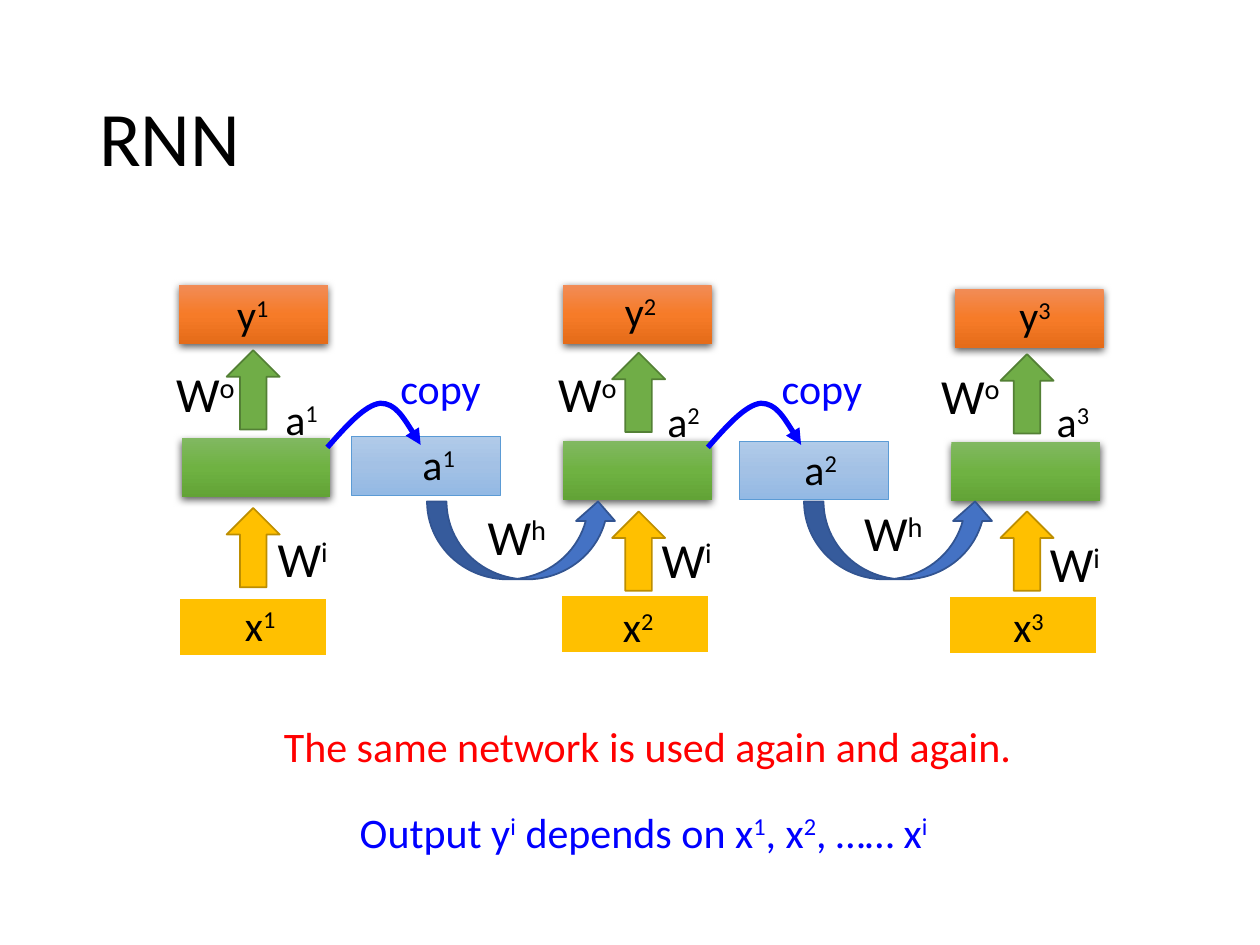
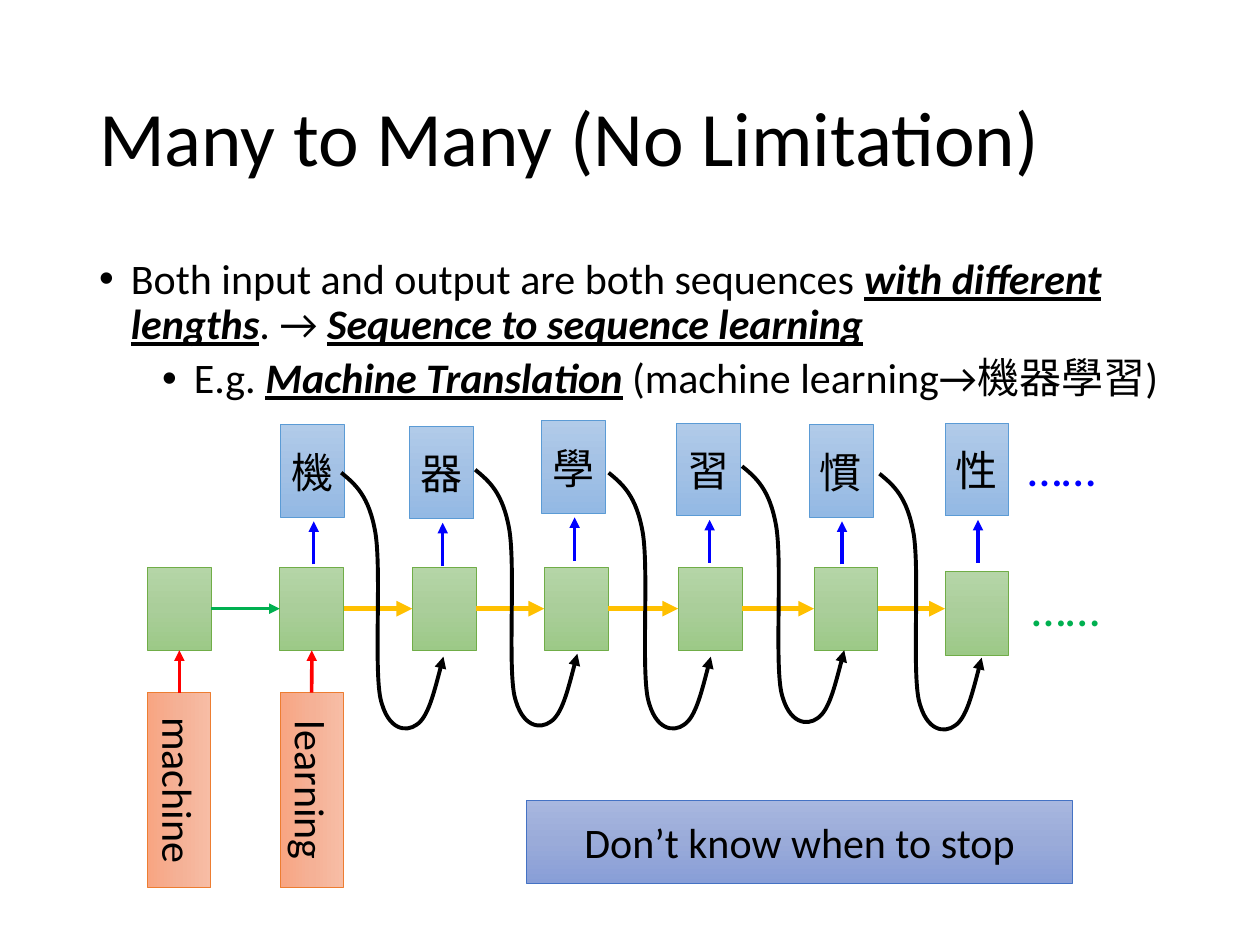
from lxml import etree
from pptx import Presentation
from pptx.dml.color import RGBColor
from pptx.enum.shapes import MSO_CONNECTOR, MSO_SHAPE
from pptx.enum.text import MSO_ANCHOR, PP_ALIGN
from pptx.oxml.ns import qn
from pptx.util import Cm, Pt

RECT, UP_ARROW, CURVED_ARROW = MSO_SHAPE.RECTANGLE, MSO_SHAPE.UP_ARROW, MSO_SHAPE.CURVED_UP_ARROW
STRAIGHT = MSO_CONNECTOR.STRAIGHT
LEFT, CENTER = PP_ALIGN.LEFT, PP_ALIGN.CENTER
TOP, MIDDLE = MSO_ANCHOR.TOP, MSO_ANCHOR.MIDDLE
SITE_TOP, SITE_LEFT, SITE_BOTTOM, SITE_RIGHT = range(4)

FONT = "Calibri"
COLORS = {
    "black": "000000", "white": "FFFFFF", "red": "FF0000", "blue": "0000FF",
    "gold": "FFC000", "gold_edge": "BD8E00", "leaf": "70AD47", "leaf_edge": "538035",
    "royal": "4472C4", "royal_edge": "325491", "sky": "5B9BD5",
    "orange": "ED7D31", "green": "00B050",
}
# Stops at 0, 50 and 100 %, then the angle
GRADIENTS = {
    "hidden": ("81B861", "6FB242", "62A336", 90),
    "output": ("F18C57", "F67B28", "E56C19", 90),
    "memory": ("B1CBE9", "A3C1E5", "93B9E4", 90),
    "cell": ("B5D5A7", "AACE9A", "9CC987", 90),
    "word": ("F8A582", "F5B196", "F7BDA5", 0),
    "note": ("A8B7DF", "9AABD9", "889ED7", 90),
}


def rgb(name):
    return RGBColor.from_string(COLORS[name])


def add_run(p, text, size=24, color="black", strong=False, raised=False):
    r = p.add_run()
    r.text = text
    r.font.name, r.font.size = FONT, Pt(size)
    r.font.color.rgb = rgb(color)
    if strong:
        r.font.bold = r.font.italic = r.font.underline = True
    if raised:
        r._r.get_or_add_rPr().set("baseline", "30000")


def write(p, text, **fmt):
    """Add text: *words* are strong, and the character after ^ is raised."""
    for i, part in enumerate(text.split("*")):
        plain, *raised = part.split("^")
        if plain:
            add_run(p, plain, strong=i % 2 == 1, **fmt)
        for piece in raised:
            add_run(p, piece[0], raised=True, **fmt)
            if piece[1:]:
                add_run(p, piece[1:], **fmt)


class Deck:
    def __init__(self):
        self.prs = Presentation()
        self.prs.slide_width, self.prs.slide_height = Cm(25.4), Cm(19.05)
        self.s = None

    def slide(self, title):
        self.s = self.prs.slides.add_slide(self.prs.slide_layouts[6])
        tf = self.text(title, 1.75, 1.02, 21.9, 3.68, size=44, align=LEFT, anchor=MIDDLE)
        tf.paragraphs[0].line_spacing = 0.9

    def fill_text(self, sp, text, align=CENTER, anchor=TOP, **fmt):
        tf = sp.text_frame
        tf.word_wrap, tf.vertical_anchor = True, anchor
        p = tf.paragraphs[0]
        p.alignment = align
        write(p, text, **fmt)
        return tf

    def text(self, text, x, y, w, h, **fmt):
        sp = self.s.shapes.add_textbox(Cm(x), Cm(y), Cm(w), Cm(h))
        return self.fill_text(sp, text, **fmt)

    def bullets(self, items, x, y, w, h):
        tf = self.s.shapes.add_textbox(Cm(x), Cm(y), Cm(w), Cm(h)).text_frame
        tf.word_wrap = True
        for level, text in enumerate(items):
            p = tf.add_paragraph() if level else tf.paragraphs[0]
            p.level, p.line_spacing, p.space_before = level, 0.9, Pt(5 if level else 10)
            pPr = p._p.get_or_add_pPr()
            pPr.set("marL", str(Cm(0.64 + 1.27 * level)))
            pPr.set("indent", str(Cm(-0.64)))
            etree.SubElement(pPr, qn("a:buFont"), typeface="Arial")
            etree.SubElement(pPr, qn("a:buChar"), char="•")
            write(p, text)

    def shape(self, kind, x, y, w, h, fill, edge=None, width=0.5, shadow=False):
        sp = self.s.shapes.add_shape(kind, Cm(x), Cm(y), Cm(w), Cm(h))
        sp.shadow.inherit = False
        if fill in GRADIENTS:
            self.gradient(sp, *GRADIENTS[fill])
        else:
            sp.fill.solid()
            sp.fill.fore_color.rgb = rgb(fill)
        if edge:
            sp.line.color.rgb, sp.line.width = rgb(edge), Pt(width)
        else:
            sp.line.fill.background()
        if shadow:
            effects = sp._element.spPr.find(qn("a:effectLst"))
            outer = etree.SubElement(effects, qn("a:outerShdw"), blurRad=str(Pt(4.5)),
                                     dist=str(Pt(1.5)), dir="5400000", rotWithShape="0")
            color = etree.SubElement(outer, qn("a:srgbClr"), val=COLORS["black"])
            etree.SubElement(color, qn("a:alpha"), val="63000")
        return sp

    def gradient(self, sp, first, middle, last, angle):
        sp.fill.gradient()
        grad = sp._element.spPr.find(qn("a:gradFill"))
        for child in list(grad):
            grad.remove(child)
        stops = etree.SubElement(grad, qn("a:gsLst"))
        for pos, color in ((0, first), (50000, middle), (100000, last)):
            gs = etree.SubElement(stops, qn("a:gs"), pos=str(pos))
            etree.SubElement(gs, qn("a:srgbClr"), val=color)
        etree.SubElement(grad, qn("a:lin"), ang=str(angle * 60000), scaled="0")

    def style_arrow(self, sp, color, width):
        sp.line.color.rgb, sp.line.width = rgb(color), Pt(width)
        ln = sp._element.spPr.find(qn("a:ln"))
        etree.SubElement(ln, qn("a:tailEnd"), type="triangle")

    def arrow(self, x1, y1, x2, y2, color, width=2, begin=None, end=None):
        """Straight arrow; begin and end are (shape, site) joints."""
        cxn = self.s.shapes.add_connector(STRAIGHT, Cm(x1), Cm(y1), Cm(x2), Cm(y2))
        if begin:
            cxn.begin_connect(*begin)
        if end:
            cxn.end_connect(*end)
        self.style_arrow(cxn, color, width)
        etree.SubElement(cxn._element.spPr, qn("a:effectLst"))

    def curve(self, x, y, offsets, color, width):
        """Curved arrow; every three points after the first make a cubic curve."""
        start, *rest = [(Cm(x + dx), Cm(y + dy)) for dx, dy in offsets]
        fb = self.s.shapes.build_freeform(*start, scale=1.0)
        fb.add_line_segments(rest, close=False)
        sp = fb.convert_to_shape()
        path_el = next(sp._element.iter(qn("a:path")))
        segments = path_el.findall(qn("a:lnTo"))
        for i in range(0, len(segments), 3):
            cubic = etree.SubElement(path_el, qn("a:cubicBezTo"))
            for segment in segments[i:i + 3]:
                cubic.append(segment[0])
                path_el.remove(segment)
        sp.shadow.inherit = False
        sp.fill.background()
        self.style_arrow(sp, color, width)


def build_rnn(deck):
    deck.slide("RNN")

    # Layers and upward arrows of the three time steps
    box, arrow = (3, 1.19), (1.07, 1.6)
    layers = [
        (RECT, box, dict(fill="gold", edge="white", width=1.5),
         [(3.61, 12.04), (11.3, 11.99), (19.13, 12.01)]),
        (RECT, box, dict(fill="hidden", shadow=True),
         [(3.66, 8.84), (11.35, 8.89), (19.18, 8.92)]),
        (RECT, box, dict(fill="output", shadow=True),
         [(3.61, 5.74), (11.35, 5.74), (19.25, 5.82)]),
        (UP_ARROW, arrow, dict(fill="gold", edge="gold_edge", width=1),
         [(4.57, 10.24), (12.34, 10.31), (20.17, 10.31)]),
        (UP_ARROW, arrow, dict(fill="leaf", edge="leaf_edge", width=1),
         [(4.57, 7.06), (12.34, 7.11), (20.17, 7.14)]),
    ]
    for kind, size, look, spots in layers:
        for spot in spots:
            deck.shape(kind, *spot, *size, **look)

    # Copied memory feeding the next step
    copy_arc = [(0, 0), (0.38, -0.43), (0.76, -0.86), (1.07, -0.89),
                (1.37, -0.89), (1.63, -0.46), (1.88, -0.05)]
    memories = [((7.09, 8.79), (8.61, 10.11), (7.42, 7.19), (6.6, 9.02)),
                ((14.91, 8.89), (16.21, 10.11), (15.11, 7.19), (14.27, 9.02))]
    for memory, feed, label, arc in memories:
        deck.shape(RECT, *memory, *box, "memory", "sky")
        deck.shape(CURVED_ARROW, *feed, 3.84, 1.57, "royal", "royal_edge", 1)
        deck.text("copy", *label, 2.92, 1.27, color="blue")
        deck.curve(*arc, copy_arc, "blue", 3)

    # Labels; # stands for the time step
    unit, weight = (2.51, 1.27), (1.78, 1.45)
    labels = [
        ("x^#", unit, 24, [(3.99, 11.96), (11.61, 11.99), (19.48, 11.99)]),
        ("y^#", unit, 24, [(3.84, 5.69), (11.66, 5.64), (19.61, 5.72)]),
        ("a^#", (1.6, 1.27), 24, [(5.28, 7.8), (12.98, 7.85), (20.83, 7.85)]),
        ("a^#", unit, 24, [(7.59, 8.71), (15.29, 8.81)]),
        ("W^i", weight, 28, [(5.21, 10.52), (12.95, 10.54), (20.78, 10.64)]),
        ("W^o", weight, 28, [(3.25, 7.21), (10.95, 7.21), (18.67, 7.24)]),
        ("W^h", weight, 28, [(9.53, 10.08), (17.12, 10.01)]),
    ]
    for label, extent, size, spots in labels:
        for step, spot in enumerate(spots, 1):
            deck.text(label.replace("#", str(step)), *spot, *extent, size=size)

    # Conclusions
    deck.text("The same network is used again and again.", 5.46, 14.4, 15.19, 1.27, color="red")
    deck.text("Output y^i depends on x^1, x^2, …… x^i", 5.38, 16.13, 15.19, 1.27, color="blue")


def build_many_to_many(deck):
    deck.slide("Many to Many (No Limitation)")
    deck.bullets([
        "Both input and output are both sequences *with different lengths*. → "
        "*Sequence to sequence learning*",
        "E.g. *Machine Translation* (machine learning→機器學習)",
    ], 1.75, 5.08, 21.9, 12.09)

    # Row of cells
    cell_w, cell_h = 1.29, 1.68
    cell_x = [2.97, 5.64, 8.31, 10.97, 13.67, 16.41, 19.05]
    cell_y = [11.43] * 6 + [11.53]
    cells = [deck.shape(RECT, x, y, cell_w, cell_h, "cell", "leaf")
             for x, y in zip(cell_x, cell_y)]

    # Arrows between cells; the last cell sits lower, so its arrow stays level
    mid = cell_y[0] + cell_h / 2
    for i, (cell, following) in enumerate(zip(cells, cells[1:])):
        color, width = ("gold", 3) if i else ("green", 2)
        joint = (following, SITE_LEFT) if cell_y[i] == cell_y[i + 1] else None
        deck.arrow(cell_x[i] + cell_w, mid, cell_x[i + 1], mid, color, width,
                   begin=(cell, SITE_RIGHT), end=joint)

    # Input words, written downwards
    for word, cell, x in zip(("machine", "learning"), cells, cell_x):
        sp = deck.shape(RECT, x + 0.01, 13.96, 1.27, 3.94, "word", "orange")
        tf = deck.fill_text(sp, word)
        tf.margin_left = tf.margin_right = Cm(0.13)
        tf.margin_top = tf.margin_bottom = Cm(0.25)
        tf._txBody.bodyPr.set("vert", "vert")
        deck.arrow(x, 13.96, x, 13.11, "red", begin=(sp, SITE_TOP), end=(cell, SITE_BOTTOM))

    # Output characters
    outputs = [("機", 5.66, 8.56), ("器", 8.26, 8.59), ("學", 10.92, 8.48),
               ("習", 13.64, 8.53), ("慣", 16.31, 8.56), ("性", 19.05, 8.53)]
    char_h = 1.87
    for char, x, y in outputs:
        deck.shape(RECT, x, y, cell_w, char_h, "memory", "sky")
        deck.text(char, x - 0.24, y + 0.31, 1.75, 1.27)
        center, bottom = x + cell_w / 2 + 0.02, y + char_h
        deck.arrow(center, bottom + 0.95, center, bottom + 0.08, "blue")

    # Each output loops back into the next cell
    loop = [(0, 0), (0.28, 0.23), (0.56, 0.46), (0.69, 1.22), (0.81, 1.98), (0.66, 3.91),
            (0.79, 4.55), (0.94, 5.21), (1.32, 5.23), (1.52, 5.08), (1.75, 4.93),
            (1.9, 4.32), (2.06, 3.71)]
    for start in [(6.88, 9.53), (9.58, 9.47), (12.27, 9.53), (14.96, 9.4), (17.73, 9.55)]:
        deck.curve(*start, loop, "black", 2.25)

    # Continuation dots and remark
    deck.text("……", 20.55, 11.51, 3.07, 1.45, size=28, color="green", align=LEFT)
    deck.text("……", 20.47, 8.69, 3.07, 1.45, size=28, color="blue", align=LEFT)
    note = deck.shape(RECT, 10.62, 16.13, 11, 1.68, "note", "royal")
    deck.fill_text(note, "Don’t know when to stop", anchor=MIDDLE)


def main():
    deck = Deck()
    build_rnn(deck)
    build_many_to_many(deck)
    deck.prs.save("out.pptx")


if __name__ == "__main__":
    main()
